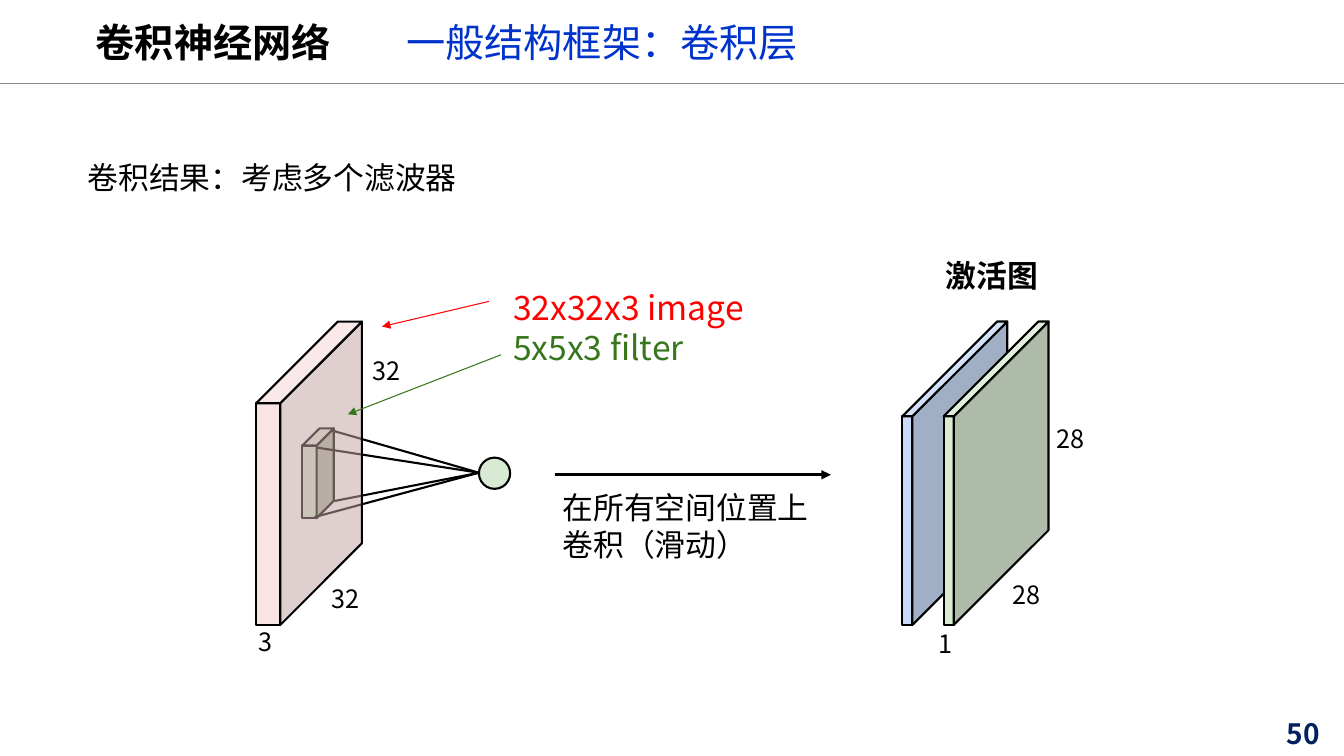
from lxml.etree import SubElement as Sub
from pptx import Presentation
from pptx.dml.color import RGBColor as RGB
from pptx.enum.shapes import MSO_CONNECTOR as Conn, MSO_SHAPE as Kind
from pptx.enum.text import MSO_ANCHOR as Anchor, PP_ALIGN as Align
from pptx.oxml.ns import qn
from pptx.util import Pt

PX = 9144
FACE = "Noto Sans CJK SC"
BLACK = RGB(0x00, 0x00, 0x00)
WHITE = RGB(0xFF, 0xFF, 0xFF)
GRAY = RGB(0x8C, 0x8C, 0x8C)
NAVY = RGB(0x00, 0x20, 0x60)
BLUE = RGB(0x00, 0x33, 0xCC)
RED = RGB(0xFF, 0x00, 0x00)
GREEN = RGB(0x37, 0x76, 0x1C)
MINT = RGB(0xD9, 0xEA, 0xD3)
MINTS = (MINT, RGB(0xAD, 0xBB, 0xA8), RGB(0xE0, 0xEE, 0xDB))
SKIES = (RGB(0xC9, 0xDA, 0xF7), RGB(0xA0, 0xAE, 0xC6), RGB(0xD3, 0xE1, 0xF9))
PINKS = (RGB(0xF4, 0xCC, 0xCC), RGB(0xC3, 0xA3, 0xA3), RGB(0xF6, 0xD6, 0xD6))

TITLE = ("卷积神经网络", (95, 13, 290, 57), 28, BLACK, True)
TEXTS = [
    ("50", (1276, 705, 57, 44), 20, NAVY, True),
    ("一般结构框架：卷积层", (403, 20, 542, 44), 28, BLUE, False),
    ("卷积结果：考虑多个滤波器", (87, 157, 433, 38), 22, BLACK, False),
    ("激活图", (938, 254, 204, 38), 22, BLACK, True),
    ("32", (329, 577, 31, 33), 18, BLACK, False),
    ("32", (369, 351, 31, 33), 18, BLACK, False),
    ("3", (256, 620, 17, 33), 18, BLACK, False),
    ("1", (931, 622, 17, 33), 18, BLACK, False),
    ("28", (1004, 573, 31, 33), 18, BLACK, False),
    ("28", (1048, 418, 31, 33), 18, BLACK, False),
]
NOTE = ("在所有空间位置上卷积（滑动）", (558, 484, 266, 74), 22, BLACK, False)
KEYS = [("32x32x3 image", RED), ("5x5x3 filter", GREEN)]
KEYBOX = (509, 284, 288, 82)

BACK = [
    ((895, 413), (10, 207), (94, 94), SKIES, 100),
    ((300, 442), (14, 72), (17, 17), MINTS, 100),
]
FRONT = [
    ((936, 413), (10, 207), (94, 94), MINTS, 100),
    ((254, 400), (24, 220), (81, 81), PINKS, 52),
]
NODE = (475, 454, 31, 31)
RAYS = [(312, 513), (314, 444), (329, 427), (332, 497)]
LINKS = [
    ((485, 299), (379, 324), RED, 0.75),
    ((497, 352), (345, 411), GREEN, 0.75),
    ((550, 471), (824, 471), BLACK, 2.25),
]


def emu(nums):
    return [n * PX for n in nums]


def style(para, size, color, bold=False):
    look = {"name": FACE, "size": Pt(size), "bold": bold}
    for run in para.runs:
        for key, val in look.items():
            setattr(run.font, key, val)
        run.font.color.rgb = color
        Sub(run.font._element, qn("a:ea"), typeface=FACE)


def setup(shape, box):
    for key, val in zip(("left", "top", "width", "height"), emu(box)):
        setattr(shape, key, val)
    frame = shape.text_frame
    look = {"word_wrap": True, "vertical_anchor": Anchor.MIDDLE}
    look |= {"margin_" + side: 0 for side in ("left", "top", "right", "bottom")}
    for key, val in look.items():
        setattr(frame, key, val)
    return frame


def write(shape, item):
    text, box, size, color, bold = item
    frame = setup(shape, box)
    frame.text = text
    para = frame.paragraphs[0]
    para.alignment = Align.LEFT
    style(para, size, color, bold)
    return para


def label(item):
    return write(shapes.add_textbox(*emu(item[1])), item)


def paint(shape, color, alpha=100):
    shape.shadow.inherit = False
    shape.fill.solid()
    shape.fill.fore_color.rgb = color
    if alpha < 100:
        tint = shape.fill._xPr.find(qn("a:solidFill"))[0]
        Sub(tint, qn("a:alpha"), val=str(alpha * 1000))
    shape.line.color.rgb = BLACK
    shape.line.width = Pt(1.5)


def slab(spot, size, skew, colors, alpha):
    (x, y), (w, h), (dx, dy) = spot, size, skew
    r, b = x + w, y + h
    faces = [
        [(x, y), (r, y), (r, b), (x, b)],
        [(r, b), (r, y), (r + dx, y - dy), (r + dx, b - dy)],
        [(r, y), (x, y), (x + dx, y - dy), (r + dx, y - dy)],
    ]
    for face, color in zip(faces, colors):
        form = shapes.build_freeform(*face[0], scale=PX)
        form.add_line_segments(face[1:], close=True)
        paint(form.convert_to_shape(), color, alpha)


def link(start, end, color, width, arrow=False):
    line = shapes.add_connector(Conn.STRAIGHT, *emu(start + end))
    line.line.color.rgb = color
    line.line.width = Pt(width)
    if arrow:
        Sub(line.line._get_or_add_ln(), qn("a:tailEnd"), type="triangle")
    Sub(line._element.spPr, qn("a:effectLst"))


deck = Presentation()
deck.slide_width, deck.slide_height = emu((1333, 750))
slide = deck.slides.add_slide(deck.slide_layouts[5])
slide.background.fill.solid()
slide.background.fill.fore_color.rgb = WHITE
shapes = slide.shapes

link((0, 83), (1333, 83), GRAY, 1)
write(shapes.title, TITLE)
for item in BACK:
    slab(*item)
paint(shapes.add_shape(Kind.OVAL, *emu(NODE)), MINT)
hub = (NODE[0], NODE[1] + NODE[3] // 2)
for spot in RAYS:
    link(spot, hub, BLACK, 1.5)
for item in FRONT:
    slab(*item)
for item in LINKS:
    link(*item, arrow=True)
for item in TEXTS:
    label(item)
label(NOTE).line_spacing = Pt(26.6)

frame = setup(shapes.add_textbox(*emu(KEYBOX)), KEYBOX)
frame.text = "\n".join(text for text, color in KEYS)
for para, (text, color) in zip(frame.paragraphs, KEYS):
    para.line_spacing = Pt(28.5)
    style(para, 24, color)

deck.save("out.pptx")
